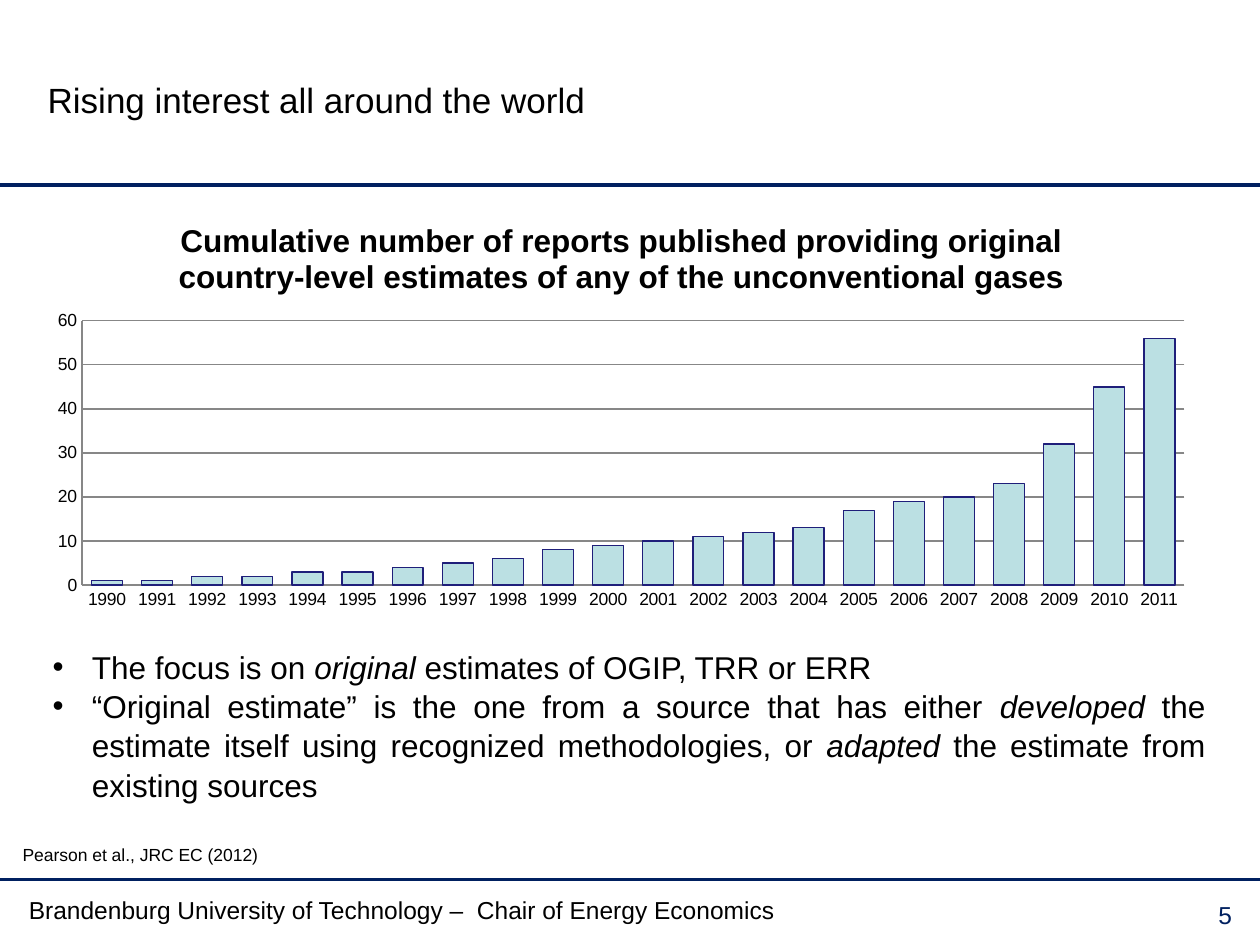
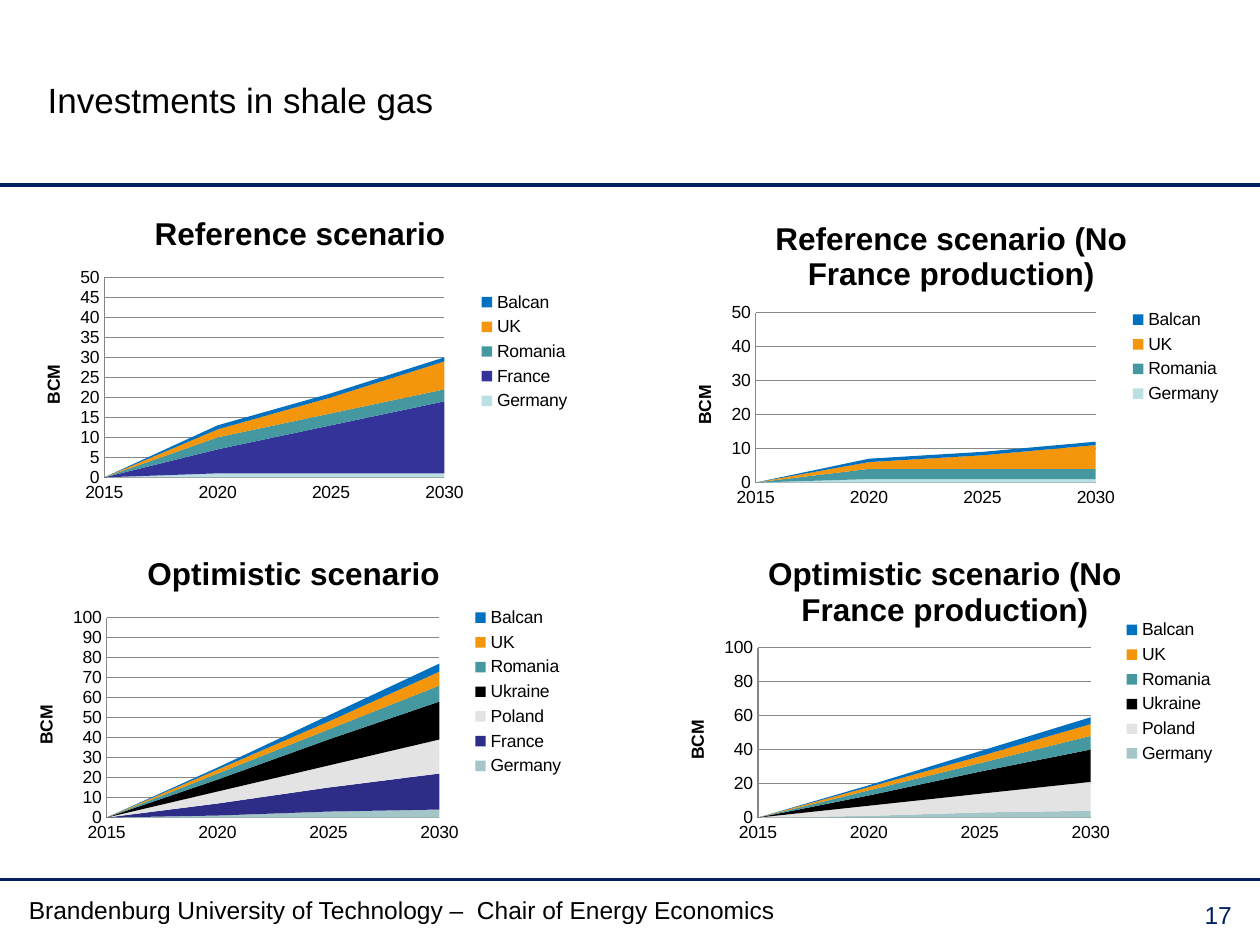
from lxml import etree
from pptx import Presentation
from pptx.chart.data import CategoryChartData
from pptx.dml.color import RGBColor
from pptx.enum.chart import XL_CHART_TYPE, XL_LEGEND_POSITION, XL_TICK_MARK
from pptx.enum.shapes import MSO_CONNECTOR
from pptx.enum.text import MSO_ANCHOR, PP_ALIGN
from pptx.oxml import parse_xml
from pptx.oxml.ns import nsdecls, qn
from pptx.util import Pt

COLUMN, AREA = XL_CHART_TYPE.COLUMN_CLUSTERED, XL_CHART_TYPE.AREA_STACKED
LEGEND_RIGHT, NO_TICKS = XL_LEGEND_POSITION.RIGHT, XL_TICK_MARK.NONE
STRAIGHT, MIDDLE = MSO_CONNECTOR.STRAIGHT, MSO_ANCHOR.MIDDLE
LEFT, RIGHT, JUSTIFY = PP_ALIGN.LEFT, PP_ALIGN.RIGHT, PP_ALIGN.JUSTIFY

# Shared look
FONT, BLACK, NAVY, GRID = "Arial", "000000", "002060", "878787"
WIDTH, HEIGHT = 720, 540
TITLE_BOX = (20, 39, 578, 36)
FOOTER_BOX, NUMBER_BOX = (9.4, 507.6, 487, 27), (632, 510.5, 79, 27)
RULES = [(105.8, 2), (502.6, 1.5)]  # top, line width
FOOTER = "Brandenburg University of Technology –  Chair of Energy Economics"

# Reports slide
REPORTS_TITLE = "Rising interest all around the world"
REPORTS_CHART_TITLE = ("Cumulative number of reports published providing original "
                       "country-level estimates of any of the unconventional gases")
REPORT_YEARS = range(1990, 2012)
REPORT_COUNTS = [1, 1, 2, 2, 3, 3, 4, 5, 6, 8, 9, 10, 11, 12, 13, 17, 19, 20, 23, 32, 45, 56]
REPORTS_BOX, REPORTS_PLOT = (20, 113.8, 670.3, 239.8), (0.04, 0.29, 0.94, 0.63)
BAR_FILL, BAR_LINE = "BBE0E3", "1F1F7A"
NOTES_BOX, SOURCE_BOX = (23, 365.8, 673, 94.3), (5.8, 478.8, 706, 32)
NOTES = [  # (text, italic) runs of each bullet
    [("The focus is on ", False), ("original", True),
     (" estimates of OGIP, TRR or ERR", False)],
    [("“Original estimate” is the one from a source that has either ", False),
     ("developed", True),
     (" the estimate itself using recognized methodologies, or ", False),
     ("adapted", True), (" the estimate from existing sources", False)],
]
SOURCE = "Pearson et al., JRC EC (2012)"

# Investments slide
INVESTMENTS_TITLE = "Investments in shale gas"
INVESTMENT_YEARS = [2015, 2020, 2025, 2030]
UNIT = "BCM"
REFERENCE = {
    "Germany": ([None, 1, 1, 1], "BBE0E3"),
    "France": ([None, 6, 12, 18], "333399"),
    "Romania": ([None, 3, 3, 3], "4597A0"),
    "UK": ([None, 2, 4, 7], "F4960C"),
    "Balcan": ([None, 1, 1, 1], "0070C0"),
}
OPTIMISTIC = {
    "Germany": ([None, 1, 3, 4], "A5C6C9"),
    "France": ([None, 6, 12, 18], "2D2D87"),
    "Poland": ([None, 6, 11, 17], "E3E3E3"),
    "Ukraine": ([None, 6, 13, 19], "000000"),
    "Romania": ([None, 3, 5, 8], "4597A0"),
    "UK": ([None, 2, 4, 7], "F4960C"),
    "Balcan": ([None, 1, 3, 4], "0070C0"),
}
SCENARIOS = [  # name, countries, axis maximum, left and top of both charts, plot left, width
    ("Reference scenario", REFERENCE, 50, [(9.4, 110.9), (381.6, 113.8)], (0.155, 0.6)),
    ("Optimistic scenario", OPTIMISTIC, 100, [(5.8, 305.3), (378, 305.3)], (0.17, 0.587)),
]
SCENARIO_SIZE = (324, 180)
PLOT_ROWS = [(0.265, 0.635), (0.36, 0.54)]  # under a title of one line, of two lines


def color(hex_string):
    return RGBColor.from_string(hex_string)


def points(box):
    return [Pt(value) for value in box]


def apply(target, values):
    for name, value in values.items():
        setattr(target, name, value)


def style_font(font, size, hex_color=BLACK, bold=False, italic=False):
    apply(font, {"name": FONT, "size": Pt(size), "bold": bold, "italic": italic})
    font.color.rgb = color(hex_color)


def add_text(slide, box, paragraphs, size, hex_color=BLACK, align=LEFT, bullets=False):
    """Each paragraph is a list of (text, italic) runs."""
    frame = slide.shapes.add_textbox(*points(box)).text_frame
    frame.word_wrap = True
    for index, runs in enumerate(paragraphs):
        paragraph = frame.paragraphs[0] if index == 0 else frame.add_paragraph()
        paragraph.alignment = align
        for text, italic in runs:
            run = paragraph.add_run()
            run.text = text
            style_font(run.font, size, hex_color, italic=italic)
        if bullets:
            paragraph.line_spacing = 1.04
            properties = paragraph._p.get_or_add_pPr()
            properties.set("marL", str(Pt(22.5)))
            properties.set("indent", str(Pt(-22.5)))
            etree.SubElement(properties, qn("a:buFont")).set("typeface", FONT)
            etree.SubElement(properties, qn("a:buChar")).set("char", "•")


def add_slide(presentation, title, number):
    slide = presentation.slides.add_slide(presentation.slide_layouts[5])
    for top, width in RULES:
        rule = slide.shapes.add_connector(STRAIGHT, *points((0, top, WIDTH, top)))
        apply(rule.line, {"width": Pt(width)})
        rule.line.color.rgb = color(NAVY)
        etree.SubElement(rule._element.spPr, qn("a:effectLst"))
    heading = slide.shapes.title
    apply(heading, dict(zip(("left", "top", "width", "height"), points(TITLE_BOX))))
    heading.text_frame.text = title
    apply(heading.text_frame, {"vertical_anchor": MIDDLE, "word_wrap": True})
    paragraph = heading.text_frame.paragraphs[0]
    paragraph.alignment = LEFT
    style_font(paragraph.runs[0].font, 20)
    add_text(slide, FOOTER_BOX, [[(FOOTER, False)]], 14)
    add_text(slide, NUMBER_BOX, [[(str(number), False)]], 14, NAVY, RIGHT)
    return slide


def set_title(owner, text, size):
    """Title a chart or an axis."""
    owner.has_title = True
    frame = (owner.chart_title if hasattr(owner, "chart_title") else owner.axis_title).text_frame
    frame.text = text
    style_font(frame.paragraphs[0].runs[0].font, size, bold=True)


def set_plot_layout(chart, plot):
    plot_area = chart.element.xpath("c:chart/c:plotArea")[0]
    for layout in plot_area.findall(qn("c:layout")):
        plot_area.remove(layout)
    parts = "".join(f'<c:{name} val="{value}"/>' for name, value in zip("xywh", plot))
    plot_area.insert(0, parse_xml(
        f'<c:layout {nsdecls("c")}><c:manualLayout><c:layoutTarget val="inner"/>'
        f'<c:xMode val="edge"/><c:yMode val="edge"/>{parts}</c:manualLayout></c:layout>'))


def add_chart(slide, kind, box, plot, title, years, series, maximum, step):
    """Series maps each name to its values and fill colour."""
    data = CategoryChartData()
    data.categories = [str(year) for year in years]
    for name, (values, _) in series.items():
        data.add_series(name, values)
    chart = slide.shapes.add_chart(kind, *points(box), data).chart
    style_font(chart.font, 10)
    chart.has_legend = False
    set_title(chart, title, 18)
    set_plot_layout(chart, plot)
    for axis in (chart.category_axis, chart.value_axis):
        apply(axis, {"major_tick_mark": NO_TICKS, "minor_tick_mark": NO_TICKS})
        axis.format.line.color.rgb = color(GRID)
    apply(chart.value_axis, {"minimum_scale": 0, "maximum_scale": maximum,
                             "major_unit": step, "has_major_gridlines": True})
    chart.value_axis.major_gridlines.format.line.color.rgb = color(GRID)
    chart.plots[0].vary_by_categories = False
    for item, (_, fill) in zip(chart.plots[0].series, series.values()):
        item.format.fill.solid()
        item.format.fill.fore_color.rgb = color(fill)
    return chart


def add_reports_slide(presentation):
    slide = add_slide(presentation, REPORTS_TITLE, 5)
    chart = add_chart(slide, COLUMN, REPORTS_BOX, REPORTS_PLOT, REPORTS_CHART_TITLE,
                      REPORT_YEARS, {"Series 1": (REPORT_COUNTS, BAR_FILL)}, 60, 10)
    apply(chart.plots[0], {"gap_width": 62, "overlap": 24})
    outline = chart.plots[0].series[0].format.line
    outline.color.rgb = color(BAR_LINE)
    outline.width = Pt(0.75)
    add_text(slide, SOURCE_BOX, [[(SOURCE, False)]], 10)
    add_text(slide, NOTES_BOX, NOTES, 18, align=JUSTIFY, bullets=True)


def add_investments_slide(presentation):
    slide = add_slide(presentation, INVESTMENTS_TITLE, 17)
    for name, countries, maximum, corners, (plot_left, plot_width) in SCENARIOS:
        without_france = {key: value for key, value in countries.items() if key != "France"}
        variants = [(name, countries, maximum / 10),
                    (f"{name} (No France production)", without_france, maximum / 5)]
        for (title, series, step), corner, (top, height) in zip(variants, corners, PLOT_ROWS):
            chart = add_chart(slide, AREA, corner + SCENARIO_SIZE,
                              (plot_left, top, plot_width, height), title,
                              INVESTMENT_YEARS, series, maximum, step)
            set_title(chart.value_axis, UNIT, 10)
            chart.has_legend = True
            apply(chart.legend, {"position": LEGEND_RIGHT, "include_in_layout": False})
            style_font(chart.legend.font, 10)
            # Areas start on the value axis
            for crossing in chart.element.xpath(".//c:valAx/c:crossBetween"):
                crossing.set("val", "midCat")


def main():
    presentation = Presentation()
    apply(presentation, {"slide_width": Pt(WIDTH), "slide_height": Pt(HEIGHT)})
    add_reports_slide(presentation)
    add_investments_slide(presentation)
    presentation.save("out.pptx")


if __name__ == "__main__":
    main()
